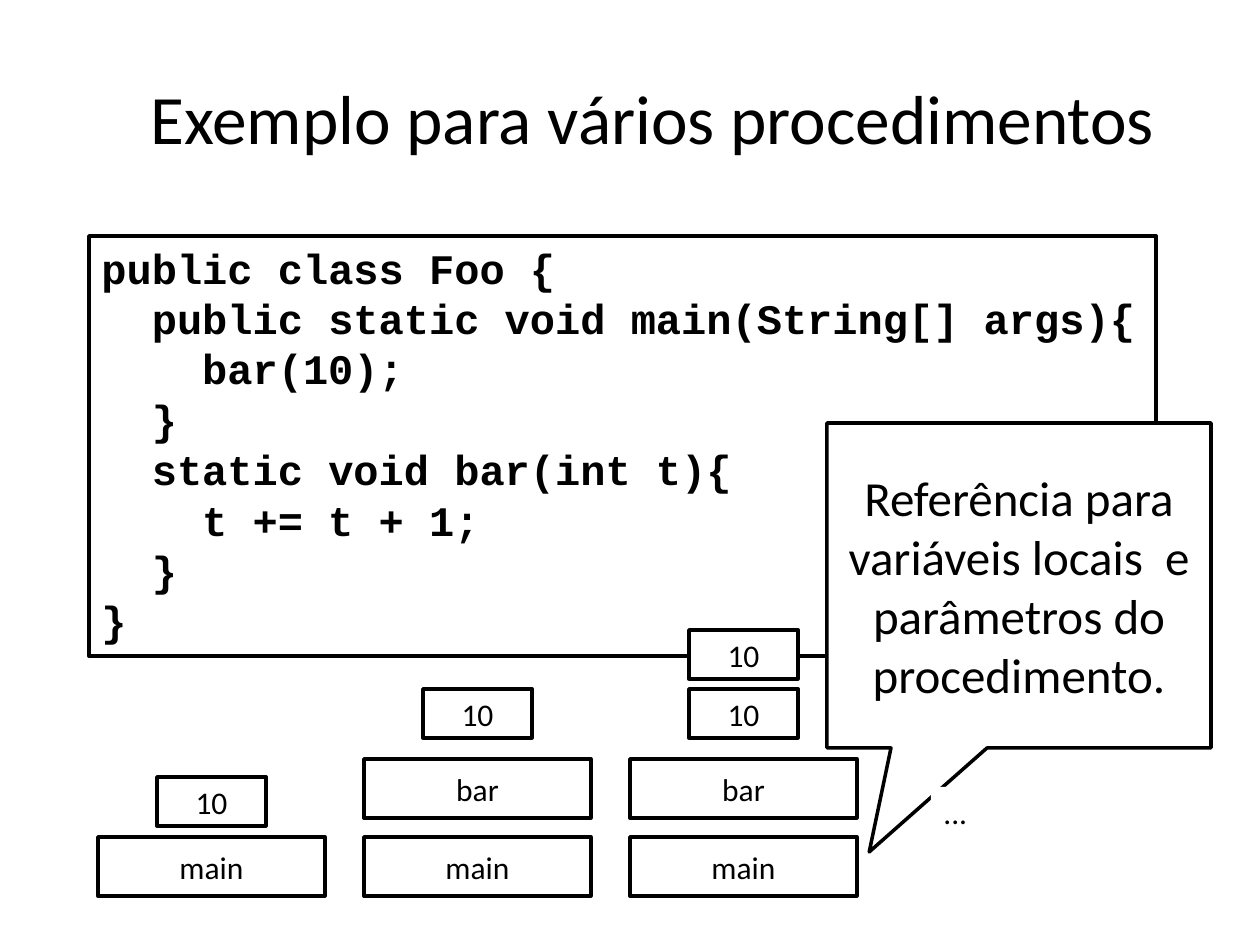
from dataclasses import dataclass

from pptx import Presentation
from pptx.dml.color import RGBColor
from pptx.enum.shapes import MSO_SHAPE as Shape
from pptx.enum.text import MSO_ANCHOR as Anchor, PP_ALIGN as Align
from pptx.util import Emu, Pt

PX = 914400 // 126


@dataclass(frozen=True)
class Theme:
    """Colours, fonts and type sizes."""
    ink: RGBColor = RGBColor(0, 0, 0)
    paper: RGBColor = RGBColor(255, 255, 255)
    font: str = "Calibri"
    mono: str = "Courier New"
    title: float = 39.6
    callout: float = 28
    code: float = 24
    label: float = 18
    line: float = 2


class Deck:
    """Draws elements on the current slide in one style."""

    def __init__(self, theme, width, height):
        """Start a presentation with one title-only slide."""
        self.theme = theme
        self.prs = Presentation()
        self.prs.slide_width, self.prs.slide_height = self.emu(width, height)
        self.s = self.prs.slides.add_slide(self.prs.slide_layouts[5])

    def emu(self, *pixels):
        """Turn pixels into EMU."""
        return [Emu(n * PX) for n in pixels]

    def style(self, p, size, align, font=None, bold=False):
        """Format a whole paragraph."""
        p.alignment = align
        p.font.name = font or self.theme.font
        p.font.size = Pt(size)
        p.font.bold = bold
        p.font.color.rgb = self.theme.ink

    def title(self, text, *box):
        """Move and fill the title placeholder."""
        sp = self.s.shapes.title
        sp.left, sp.top, sp.width, sp.height = self.emu(*box)
        sp.text_frame.text = text
        sp.text_frame.vertical_anchor = Anchor.MIDDLE
        self.style(sp.text_frame.paragraphs[0], self.theme.title, Align.CENTER)

    def panel(self, box, kind=Shape.RECTANGLE, outlined=True):
        """Add an empty paper-coloured shape."""
        sp = self.s.shapes.add_shape(kind, *self.emu(*box))
        sp.shadow.inherit = False
        sp.fill.solid()
        sp.fill.fore_color.rgb = self.theme.paper
        if outlined:
            sp.line.color.rgb = self.theme.ink
            sp.line.width = Pt(self.theme.line)
        else:
            sp.line.fill.background()
        return sp

    def label(self, text, *box):
        """Add an outlined box with a centred label."""
        sp = self.panel(box)
        sp.text_frame.text = text
        self.style(sp.text_frame.paragraphs[0], self.theme.label, Align.CENTER)

    def code(self, lines, *box):
        """Add a code panel from (indent level, text) pairs."""
        tf = self.panel(box).text_frame
        tf.vertical_anchor = Anchor.TOP
        tf.text = "\n".join(text for _, text in lines)
        step = Pt(self.theme.code * 1.2)  # two monospaced characters
        for p, (level, _) in zip(tf.paragraphs, lines):
            self.style(p, self.theme.code, Align.LEFT, self.theme.mono, True)
            p._p.get_or_add_pPr().set("marL", str(level * step))

    def callout(self, text, tip, *box):
        """Add a speech box whose tail ends at tip."""
        sp = self.panel(box, Shape.RECTANGULAR_CALLOUT)
        sp.adjustments[0], sp.adjustments[1] = tip
        sp.text_frame.text = text
        self.style(sp.text_frame.paragraphs[0], self.theme.callout, Align.CENTER)

    def note(self, text, *box):
        """Add a small unframed label."""
        tf = self.panel(box, outlined=False).text_frame
        tf.word_wrap = False
        tf.vertical_anchor = Anchor.TOP
        tf.text = text
        self.style(tf.paragraphs[0], self.theme.label, Align.LEFT)


CODE = [
    (0, "public class Foo {"),
    (1, "public static void main(String[] args){"),
    (2, "bar(10);"),
    (1, "}"),
    (1, "static void bar(int t){"),
    (2, "t += t + 1;"),
    (1, "}"),
    (0, "}"),
]
# Frames from the bottom up, then the tops of the operand boxes
STACKS = [
    (["main"], [777]),
    (["main", "bar"], [689]),
    (["main", "bar"], [689, 630]),
]


def main():
    """Build the slide."""
    deck = Deck(Theme(), 1260, 945)
    deck.title("Exemplo para vários procedimentos", 108, 38, 1089, 158)
    deck.code(CODE, 89, 236, 1067, 420)
    for column, (frames, operand_tops) in enumerate(STACKS):
        left = 98 + 266 * column
        for row, name in enumerate(frames):
            deck.label(name, left, 837 - 78 * row, 227, 59)
        for top in operand_tops:
            deck.label("10", left + 59, top, 109, 49)
    deck.callout("Referência para variáveis locais  e parâmetros do procedimento.",
                 (-0.39, 0.82), 827, 423, 384, 325)
    deck.note("...", 931, 787, 53, 51)
    deck.prs.save("out.pptx")


main()
